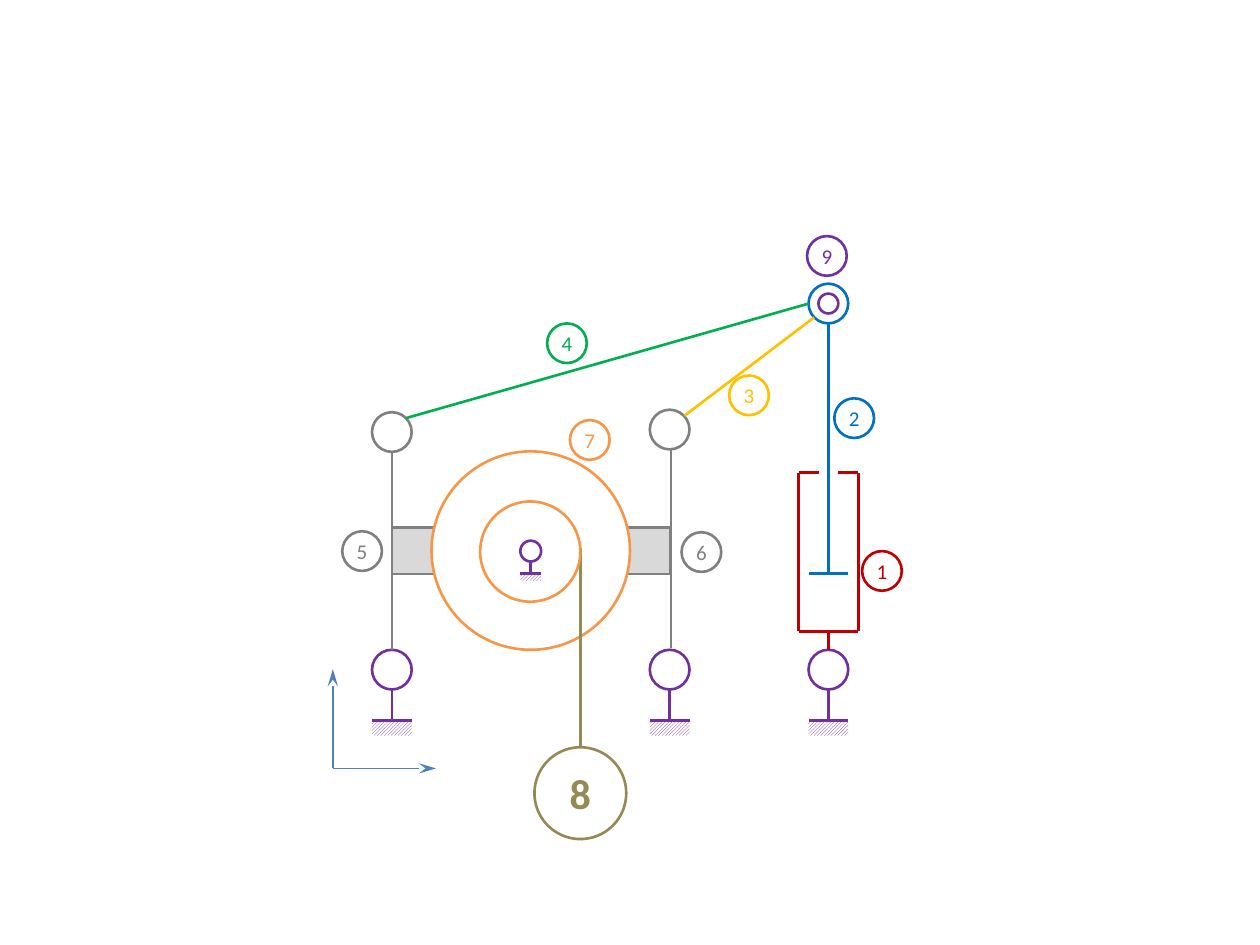
import pptx
import pptx.dml.color
import pptx.enum.dml
import pptx.enum.shapes
import pptx.enum.text
import pptx.oxml
import pptx.oxml.ns
import pptx.util

Cm = pptx.util.Cm
SHAPES = pptx.enum.shapes.MSO_SHAPE

PURPLE, GREY, ORANGE, RED = "7030A0", "808080", "F79646", "C00000"
BLUE, YELLOW, GREEN, OLIVE = "0070C0", "FFC000", "00B050", "948A54"
AXIS_BLUE, LIGHT_GREY, WHITE = "4F81BD", "D9D9D9", "FFFFFF"
JOINT = 0.8  # diameter of joints and number labels, in cm


def rgb(value):
    return pptx.dml.color.RGBColor.from_string(value)


def add_outline(slide, kind, left, top, width, height, color, fill=None):
    shape = slide.shapes.add_shape(kind, Cm(left), Cm(top), Cm(width), Cm(height))
    shape.shadow.inherit = False
    if fill:
        shape.fill.solid()
        shape.fill.fore_color.rgb = rgb(fill)
    else:
        shape.fill.background()
    shape.line.color.rgb = rgb(color)
    shape.line.width = pptx.util.Pt(1.5)
    return shape


def add_circle(slide, x, y, diameter, color, fill=None):
    """Draw a circle around the centre (x, y)."""
    radius = diameter / 2
    return add_outline(slide, SHAPES.OVAL, x - radius, y - radius,
                       diameter, diameter, color, fill)


def add_line(slide, x1, y1, x2, y2, color, width=1.5, arrow=False):
    line = slide.shapes.add_connector(pptx.enum.shapes.MSO_CONNECTOR.STRAIGHT,
                                      Cm(x1), Cm(y1), Cm(x2), Cm(y2))
    line.line.color.rgb = rgb(color)
    line.line.width = pptx.util.Pt(width)
    if arrow:
        head = pptx.oxml.parse_xml(
            f'<a:tailEnd {pptx.oxml.ns.nsdecls("a")} type="stealth" w="med" len="lg"/>')
        line.line._get_or_add_ln().append(head)
    line._element.spPr.append(
        pptx.oxml.parse_xml(f'<a:effectLst {pptx.oxml.ns.nsdecls("a")}/>'))


def add_number(slide, text, x, y, color, diameter=JOINT, size=12, bold=False):
    frame = add_circle(slide, x, y, diameter, color).text_frame
    frame.margin_left = frame.margin_right = frame.margin_top = frame.margin_bottom = 0
    frame.vertical_anchor = pptx.enum.text.MSO_ANCHOR.MIDDLE
    paragraph = frame.paragraphs[0]
    paragraph.alignment = pptx.enum.text.PP_ALIGN.CENTER
    run = paragraph.add_run()
    run.text = text
    run.font.name = "Calibri"
    run.font.size = pptx.util.Pt(size)
    run.font.bold = bold
    run.font.color.rgb = rgb(color)


def add_support(slide, x, top, diameter=JOINT, stem=0.63, hatch=0.3):
    """Draw a joint on a stem above hatched ground."""
    joint_bottom = top + diameter
    ground = joint_bottom + stem
    left, right = x - diameter / 2, x + diameter / 2
    add_circle(slide, x, top + diameter / 2, diameter, PURPLE)
    soil = slide.shapes.add_shape(SHAPES.RECTANGLE, Cm(left), Cm(ground),
                                  Cm(diameter), Cm(hatch))
    soil.shadow.inherit = False
    soil.fill.patterned()
    soil.fill.pattern = pptx.enum.dml.MSO_PATTERN.LIGHT_UPWARD_DIAGONAL
    soil.fill.fore_color.rgb = rgb(PURPLE)
    soil.fill.back_color.rgb = rgb(WHITE)
    soil.line.fill.background()
    add_line(slide, left, ground, right, ground, PURPLE)
    add_line(slide, x, ground, x, joint_bottom, PURPLE)


def add_drum(slide, x, y):
    """Draw the brake pads, drum and hanging weight around the drum centre."""
    for pad_left in (x - 2.8, x + 1.82):
        add_outline(slide, SHAPES.RECTANGLE, pad_left, y - 0.46, 1, 0.93,
                    GREY, LIGHT_GREY)
    add_circle(slide, x, y, 4, ORANGE, WHITE)
    add_line(slide, x + 1, y + 3.96, x + 1, y - 0.05, OLIVE)
    add_support(slide, x, y - 0.2, diameter=0.42, stem=0.24, hatch=0.15)
    add_circle(slide, x - 0.01, y + 0.02, 2.02, ORANGE)
    add_number(slide, "8", x + 1, y + 4.89, OLIVE, diameter=1.85, size=24, bold=True)


def add_brake_arm(slide, joint_x, joint_y, arm_x):
    add_circle(slide, joint_x, joint_y, JOINT, GREY)
    arm_top = joint_y + JOINT / 2
    add_line(slide, arm_x, arm_top + 4, arm_x, arm_top, GREY)


def add_cylinder(slide, left, top, width=1.2, height=3.2):
    """Draw the cylinder with its piston rod and the pivot at the rod's end."""
    right, bottom, x = left + width, top + height, left + width / 2
    lip = 0.4
    for wall in ((left, bottom, left, top), (left, bottom, right, bottom),
                 (right, bottom, right, top), (left, top, left + lip, top),
                 (right - lip, top, right, top), (x, bottom + 0.37, x, bottom)):
        add_line(slide, *wall, RED)
    piston, pivot = top + 2.03, top - 3.41
    add_line(slide, x - 0.4, piston, x + 0.4, piston, BLUE)
    add_line(slide, x, piston, x, pivot + JOINT / 2, BLUE)
    add_circle(slide, x, pivot, JOINT, BLUE)
    add_circle(slide, x, pivot, JOINT / 2, PURPLE)


def add_axes(slide, x, y):
    for end_x, end_y in ((x + 2.08, y), (x, y - 2)):
        add_line(slide, x, y, end_x, end_y, AXIS_BLUE, width=1, arrow=True)


def add_brake_diagram(slide, left, top):
    """Place the mechanism with its upper left corner at (left, top)."""
    add_drum(slide, left + 4, top + 6.35)
    for x in (1.2, 6.8, 10):
        add_support(slide, left + x, top + 8.35)
    add_brake_arm(slide, left + 1.2, top + 3.96, left + 1.2)
    add_brake_arm(slide, left + 6.8, top + 3.91, left + 6.83)
    add_cylinder(slide, left + 9.4, top + 4.78)
    for x1, y1, x2, y2, color in ((7.1, 3.63, 9.71, 1.65, YELLOW),
                                  (1.48, 3.68, 9.6, 1.37, GREEN)):
        add_line(slide, left + x1, top + y1, left + x2, top + y2, color)
    numbers = (("1", 11.08, 6.76, RED), ("2", 10.52, 3.68, BLUE),
               ("3", 8.4, 3.22, YELLOW), ("4", 4.73, 2.17, GREEN),
               ("5", 0.6, 6.36, GREY), ("6", 7.44, 6.38, GREY),
               ("7", 5.19, 4.12, ORANGE), ("9", 9.97, 0.41, PURPLE))
    for text, x, y, color in numbers:
        add_number(slide, text, left + x, top + y, color)
    add_axes(slide, left + 0.01, top + 10.74)


def main():
    presentation = pptx.Presentation()
    presentation.slide_width = Cm(25.4)
    presentation.slide_height = Cm(19.05)
    slide = presentation.slides.add_slide(presentation.slide_layouts[6])
    add_brake_diagram(slide, 6.7, 4.75)
    presentation.save("out.pptx")


if __name__ == "__main__":
    main()
